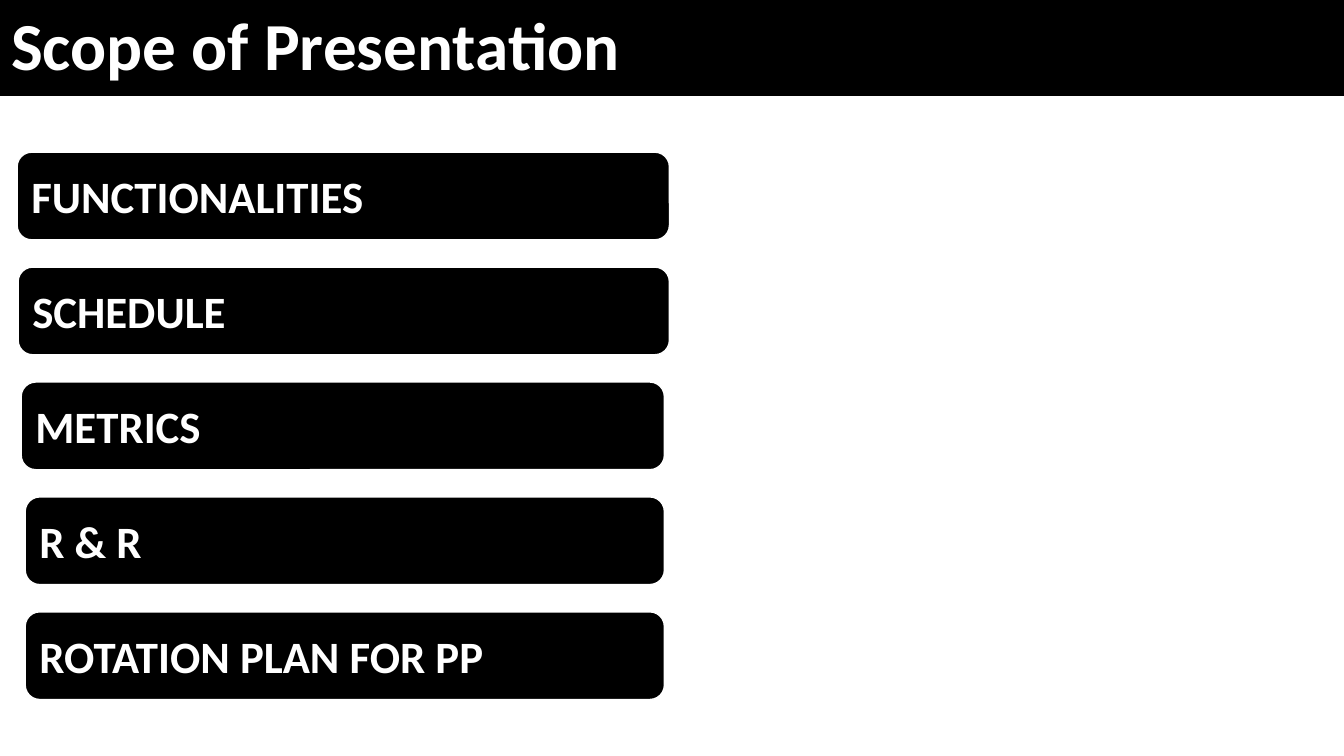
from dataclasses import dataclass

from pptx import Presentation
from pptx import util as u
from pptx.dml.color import RGBColor
from pptx.enum import shapes, text

COLORS = {"ink": "000000", "paper": "FFFFFF"}
FONT = "Calibri"
WIDE, HIGH = 13.33, 7.5
TOP, STEP, TALL = 1.51, 1.14, 0.87  # first row, row pitch and row height


@dataclass
class Topic:
    label: str
    left: float
    width: float


TOPICS = [
    Topic("FUNCTIONALITIES", 0.17, 6.47),
    Topic("SCHEDULE", 0.18, 6.46),
    Topic("METRICS", 0.21, 6.38),
    Topic("R & R", 0.25, 6.34),
    Topic("ROTATION PLAN FOR PP", 0.25, 6.34),
]


def color(name: str) -> RGBColor:
    return RGBColor.from_string(COLORS[name])


def write(shape, words: str, size: int) -> None:
    """Put bold, left-aligned light text in the shape."""
    frame = shape.text_frame
    frame.text = words
    frame.word_wrap = True
    frame.vertical_anchor = text.MSO_ANCHOR.MIDDLE
    line = frame.paragraphs[0]
    line.alignment = text.PP_ALIGN.LEFT
    font = line.runs[0].font
    font.name, font.size, font.bold = FONT, u.Pt(size), True
    font.color.rgb = color("paper")


def add_box(slide, kind, left: float, top: float, width: float,
            height: float, edge: str):
    box = slide.shapes.add_shape(kind, *map(u.Inches, (left, top, width, height)))
    box.shadow.inherit = False
    box.fill.solid()
    box.fill.fore_color.rgb = color("ink")
    box.line.color.rgb = color(edge)
    box.line.width = u.Pt(1)
    return box


def add_head(slide) -> None:
    title = slide.shapes.title
    title.left, title.top = u.Inches(0.01), u.Inches(-0.4)
    title.width, title.height = u.Inches(8.5), u.Inches(1.76)
    write(title, "Scope of Presentation", 48)
    title.text_frame.paragraphs[0].line_spacing = 0.9
    band = add_box(slide, shapes.MSO_SHAPE.RECTANGLE, 0, 0, WIDE, 0.95, "ink")
    title.element.addprevious(band.element)  # keep the band behind the title


def add_topic(slide, row: int, topic: Topic) -> None:
    box = add_box(slide, shapes.MSO_SHAPE.ROUNDED_RECTANGLE, topic.left,
                  TOP + row * STEP, topic.width, TALL, "paper")
    write(box, topic.label, 32)


def main() -> None:
    deck = Presentation()
    deck.slide_width, deck.slide_height = u.Inches(WIDE), u.Inches(HIGH)
    slide = deck.slides.add_slide(deck.slide_layouts.get_by_name("Title Only"))
    add_head(slide)
    for row, topic in enumerate(TOPICS):
        add_topic(slide, row, topic)
    deck.save("out.pptx")


if __name__ == "__main__":
    main()
